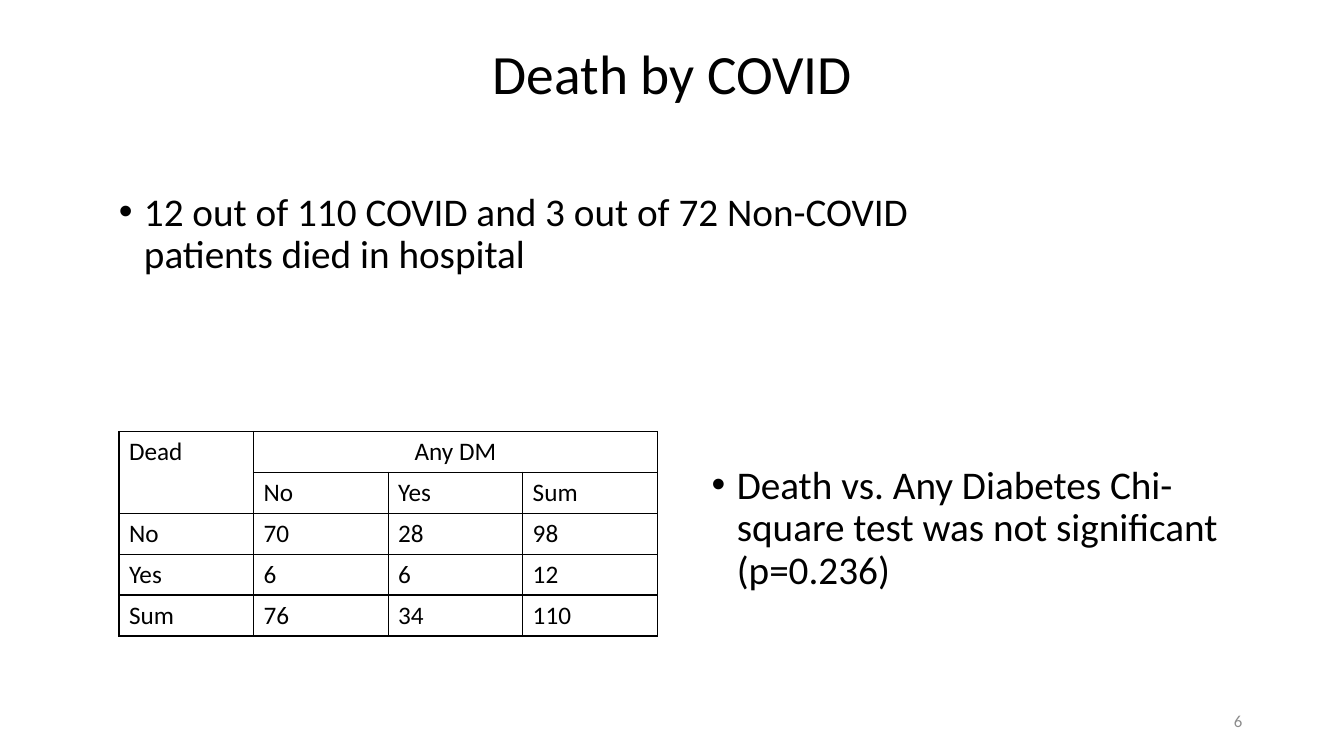
from dataclasses import dataclass

from lxml import etree
from pptx import Presentation
from pptx.dml.color import RGBColor
from pptx.enum.text import MSO_ANCHOR, PP_ALIGN
from pptx.oxml.ns import qn
from pptx.util import Inches, Pt

LEFT, CENTER, RIGHT = PP_ALIGN.LEFT, PP_ALIGN.CENTER, PP_ALIGN.RIGHT
TOP, MIDDLE = MSO_ANCHOR.TOP, MSO_ANCHOR.MIDDLE


@dataclass(frozen=True)
class Theme:
    font: str = "Calibri"
    ink: str = "000000"
    muted: str = "8C8C8C"
    paper: str = "FFFFFF"
    title: float = 39.6
    body: float = 28
    cell: float = 18
    number: float = 12
    border: float = 1


THEME = Theme()
SLIDE_SIZE = (13.33, 7.5)

TITLE = ("Death by COVID", (0.92, 0.4, 11.5, 0.72))
PAGE_NUMBER = ("6", (9.42, 6.95, 3, 0.4))
BULLETS = [
    ("Death vs. Any Diabetes Chi-square test was not significant (p=0.236)", (6.96, 4.57, 5.34, 1.4)),
    ("12 out of 110 COVID and 3 out of 72 Non-COVID patients died in hospital", (1.08, 1.86, 8.77, 1.45)),
]
DEATH_TABLE = [
    ["Dead", "Any DM", "", ""],
    ["", "No", "Yes", "Sum"],
    ["No", "70", "28", "98"],
    ["Yes", "6", "6", "12"],
    ["Sum", "76", "34", "110"],
]
MERGES = [((0, 0), (1, 0)), ((0, 1), (0, 3))]
TABLE_BOX = (1.18, 4.28, 5.34, 2.03)


def inches(box):
    return [Inches(length) for length in box]


def style(paragraph, size, color, align):
    paragraph.alignment = align
    for run in paragraph.runs:
        run.font.name = THEME.font
        run.font.size = Pt(size)
        run.font.color.rgb = RGBColor.from_string(color)


def add_text(slide, text, box, size, color=THEME.ink, align=LEFT, anchor=TOP):
    frame = slide.shapes.add_textbox(*inches(box)).text_frame
    frame.word_wrap = True
    frame.vertical_anchor = anchor
    frame.text = text
    paragraph = frame.paragraphs[0]
    style(paragraph, size, color, align)
    return paragraph


def add_bullet(slide, text, box):
    paragraph = add_text(slide, text, box, THEME.body)
    paragraph.line_spacing = 0.9
    paragraph.space_before = Pt(10)
    properties = paragraph._p.get_or_add_pPr()
    properties.set("marL", str(Inches(0.25)))
    properties.set("indent", str(-Inches(0.25)))
    etree.SubElement(properties, qn("a:buFont"), typeface="Arial")
    etree.SubElement(properties, qn("a:buChar"), char="•")


def add_borders(cell):
    properties = cell._tc.get_or_add_tcPr()
    for position, side in enumerate(("lnL", "lnR", "lnT", "lnB")):
        line = etree.Element(qn(f"a:{side}"), w=str(Pt(THEME.border)))
        fill = etree.SubElement(line, qn("a:solidFill"))
        etree.SubElement(fill, qn("a:srgbClr"), val=THEME.ink)
        properties.insert(position, line)


def add_death_table(slide):
    row_count, column_count = len(DEATH_TABLE), len(DEATH_TABLE[0])
    table = slide.shapes.add_table(row_count, column_count, *inches(TABLE_BOX)).table
    for row, values in enumerate(DEATH_TABLE):
        for column, value in enumerate(values):
            cell = table.cell(row, column)
            cell.text = value
            cell.fill.solid()
            cell.fill.fore_color.rgb = RGBColor.from_string(THEME.paper)
            align = CENTER if (row, column) == (0, 1) else LEFT
            style(cell.text_frame.paragraphs[0], THEME.cell, THEME.ink, align)
            add_borders(cell)
    for first, last in MERGES:
        table.cell(*first).merge(table.cell(*last))


def main():
    presentation = Presentation()
    presentation.slide_width, presentation.slide_height = inches(SLIDE_SIZE)
    slide = presentation.slides.add_slide(presentation.slide_layouts[6])
    title = add_text(slide, *TITLE, THEME.title, align=CENTER, anchor=MIDDLE)
    title.line_spacing = 0.9
    for text, box in BULLETS:
        add_bullet(slide, text, box)
    add_text(slide, *PAGE_NUMBER, THEME.number, THEME.muted, RIGHT, MIDDLE)
    add_death_table(slide)
    presentation.save("out.pptx")


if __name__ == "__main__":
    main()
